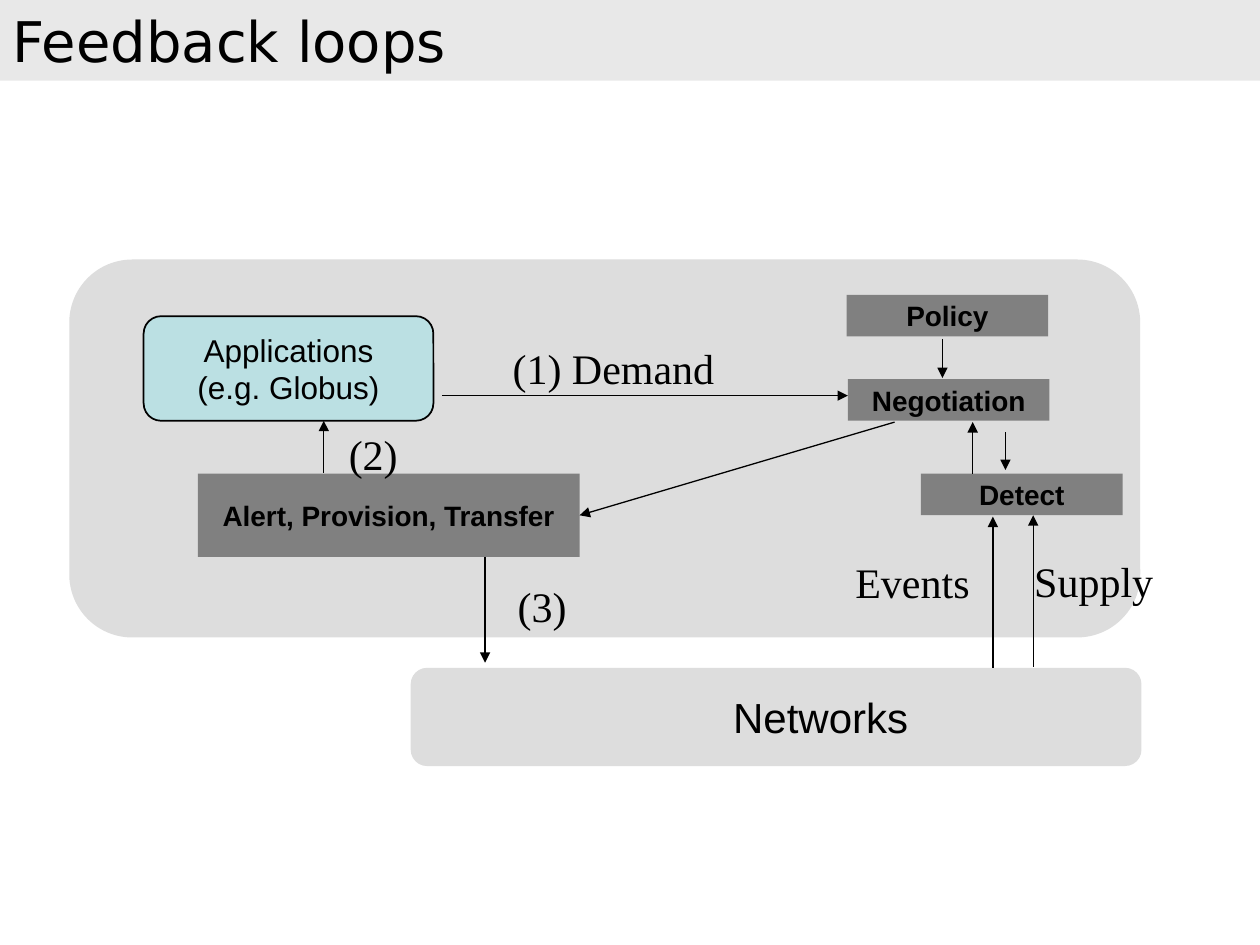
"""Build the "Feedback loops" slide: a control-loop diagram above a network layer."""
from lxml.etree import SubElement
from pptx import Presentation
from pptx.dml.color import RGBColor as RGB
from pptx.enum.shapes import MSO_CONNECTOR as CONN, MSO_SHAPE as SHAPE
from pptx.enum.text import MSO_ANCHOR as ANCHOR, PP_ALIGN as ALIGN
from pptx.oxml.ns import qn
from pptx.util import Pt

PX = 9144
COLORS = {"ink": "000000", "panel": "DDDDDD", "app": "BBE0E3", "step": "808080", "bar": "E8E8E8"}


def add_box(kind, rect, fill):
    sp = s.shapes.add_shape(kind, *[v * PX for v in rect])
    sp.shadow.inherit = False
    sp.fill.solid()
    sp.fill.fore_color.rgb = RGB.from_string(COLORS[fill])
    sp.line.fill.background()
    return sp


def set_text(sp, text, name, size, align, anchor, bold=False):
    tf = sp.text_frame
    tf.text = text
    tf.word_wrap = False
    tf.vertical_anchor = anchor
    for p in tf.paragraphs:
        p.alignment = align
        p.font.name, p.font.size, p.font.bold = name, Pt(size), bold
        p.font.color.rgb = RGB.from_string(COLORS["ink"])


prs = Presentation()
prs.slide_width, prs.slide_height = 1000 * PX, 750 * PX
s = prs.slides.add_slide(prs.slide_layouts[5])

title = s.shapes.title
title.left, title.top, title.width, title.height = 0, 0, 1000 * PX, 64 * PX
title.fill.solid()
title.fill.fore_color.rgb = RGB.from_string(COLORS["bar"])
set_text(title, "Feedback loops", "DejaVu Sans", 32, ALIGN.LEFT, ANCHOR.TOP)
title.text_frame.word_wrap = True

add_box(SHAPE.ROUNDED_RECTANGLE, (55, 206, 850, 300), "panel")
add_box(SHAPE.ROUNDED_RECTANGLE, (326, 530, 580, 78), "panel")

app = add_box(SHAPE.ROUNDED_RECTANGLE, (114, 251, 230, 83), "app")
app.line.color.rgb = RGB.from_string(COLORS["ink"])
app.line.width = Pt(1)
set_text(app, "Applications\n(e.g. Globus)", "Arial", 18, ALIGN.CENTER, ANCHOR.MIDDLE)

steps = [
    ("Policy", (672, 234, 160, 33)),
    ("Negotiation", (673, 301, 160, 33)),
    ("Detect", (731, 376, 160, 33)),
    ("Alert, Provision, Transfer", (157, 376, 303, 66)),
]
for text, rect in steps:
    sp = add_box(SHAPE.RECTANGLE, rect, "step")
    set_text(sp, text, "Arial", 16, ALIGN.CENTER, ANCHOR.MIDDLE, bold=True)

labels = [
    ("(1) Demand", 397, 267, 184, "Times New Roman"),
    ("(2)", 267, 335, 63, "Times New Roman"),
    ("(3)", 401, 456, 63, "Times New Roman"),
    ("Events", 669, 437, 115, "Times New Roman"),
    ("Supply", 811, 436, 120, "Times New Roman"),
    ("Networks", 572, 544, 163, "Arial"),
]
for text, x, y, w, name in labels:
    sp = s.shapes.add_textbox(x * PX, y * PX, w * PX, 50 * PX)
    set_text(sp, text, name, 24, ALIGN.LEFT, ANCHOR.TOP)

arrows = [
    (748, 269, 748, 300),
    (351, 314, 673, 314),
    (772, 376, 772, 335),
    (798, 343, 798, 373),
    (788, 530, 788, 410),
    (820, 529, 820, 409),
    (710, 335, 460, 409),
    (257, 375, 257, 334),
    (385, 442, 385, 526),
]
for ends in arrows:
    c = s.shapes.add_connector(CONN.STRAIGHT, *[v * PX for v in ends])
    c.line.color.rgb = RGB.from_string(COLORS["ink"])
    c.line.width = Pt(0.75)
    sp_pr = c.element.spPr
    SubElement(sp_pr.find(qn("a:ln")), qn("a:tailEnd"), type="triangle")
    SubElement(sp_pr, qn("a:effectLst"))

prs.save("out.pptx")
